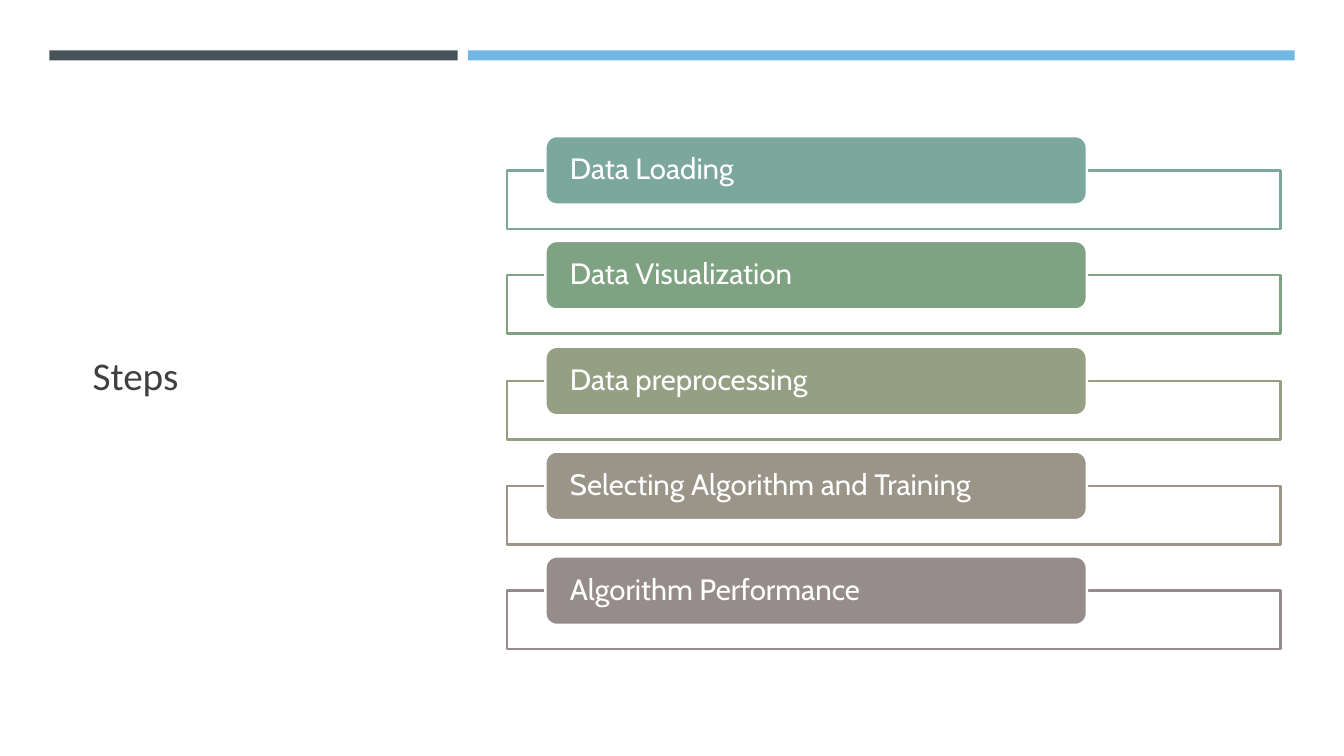
from pptx import Presentation
from pptx.dml.color import RGBColor
from pptx.enum.shapes import MSO_SHAPE as Shape
from pptx.enum.text import MSO_ANCHOR as Anchor, PP_ALIGN as Align
from pptx.util import Pt

PX = 9144

deck = Presentation()
deck.slide_width, deck.slide_height = 1333 * PX, 750 * PX
slide = deck.slides.add_slide(deck.slide_layouts[6])


def add_box(kind, left, top, width, height, fill, line=None):
    box = slide.shapes.add_shape(kind, left * PX, top * PX, width * PX, height * PX)
    box.shadow.inherit = False
    box.fill.solid()
    box.fill.fore_color.rgb = RGBColor.from_string(fill)
    if line:
        box.line.color.rgb = RGBColor.from_string(line)
        box.line.width = Pt(1.75)
    else:
        box.line.fill.background()
    return box


def write(box, text, *, size, font, color, inset, spacing=1.0):
    frame = box.text_frame
    frame.word_wrap = True
    frame.vertical_anchor = Anchor.MIDDLE
    frame.margin_left = frame.margin_right = inset * PX
    frame.margin_top = frame.margin_bottom = 0
    paragraph = frame.paragraphs[0]
    paragraph.alignment = Align.LEFT
    paragraph.line_spacing = spacing
    run = paragraph.add_run()
    run.text = text
    run.font.size = Pt(size)
    run.font.name = font
    run.font.color.rgb = RGBColor.from_string(color)


title = slide.shapes.add_textbox(82 * PX, 114 * PX, 334 * PX, 515 * PX)
write(title, "Steps", size=28, font="Calibri", color="404040", inset=10)

add_box(Shape.RECTANGLE, 49, 50, 405, 10, "465359")
add_box(Shape.RECTANGLE, 464, 50, 820, 10, "71B9E4")

steps = [
    ("Data Loading", "7BA79D"),
    ("Data Visualization", "7FA382"),
    ("Data preprocessing", "949F83"),
    ("Selecting Algorithm and Training", "9A9588"),
    ("Algorithm Performance", "968C8C"),
]
first_top, pitch = 135, 104.25
for index, (step, color) in enumerate(steps):
    top = round(first_top + index * pitch)
    add_box(Shape.RECTANGLE, 503, top + 34, 767, 58, "FFFFFF", line=color)
    label = add_box(Shape.ROUNDED_RECTANGLE, 541, top, 537, 68, color, line="FFFFFF")
    write(label, step, size=21, font="Cabin", color="FFFFFF", inset=21, spacing=0.9)

deck.save("out.pptx")
